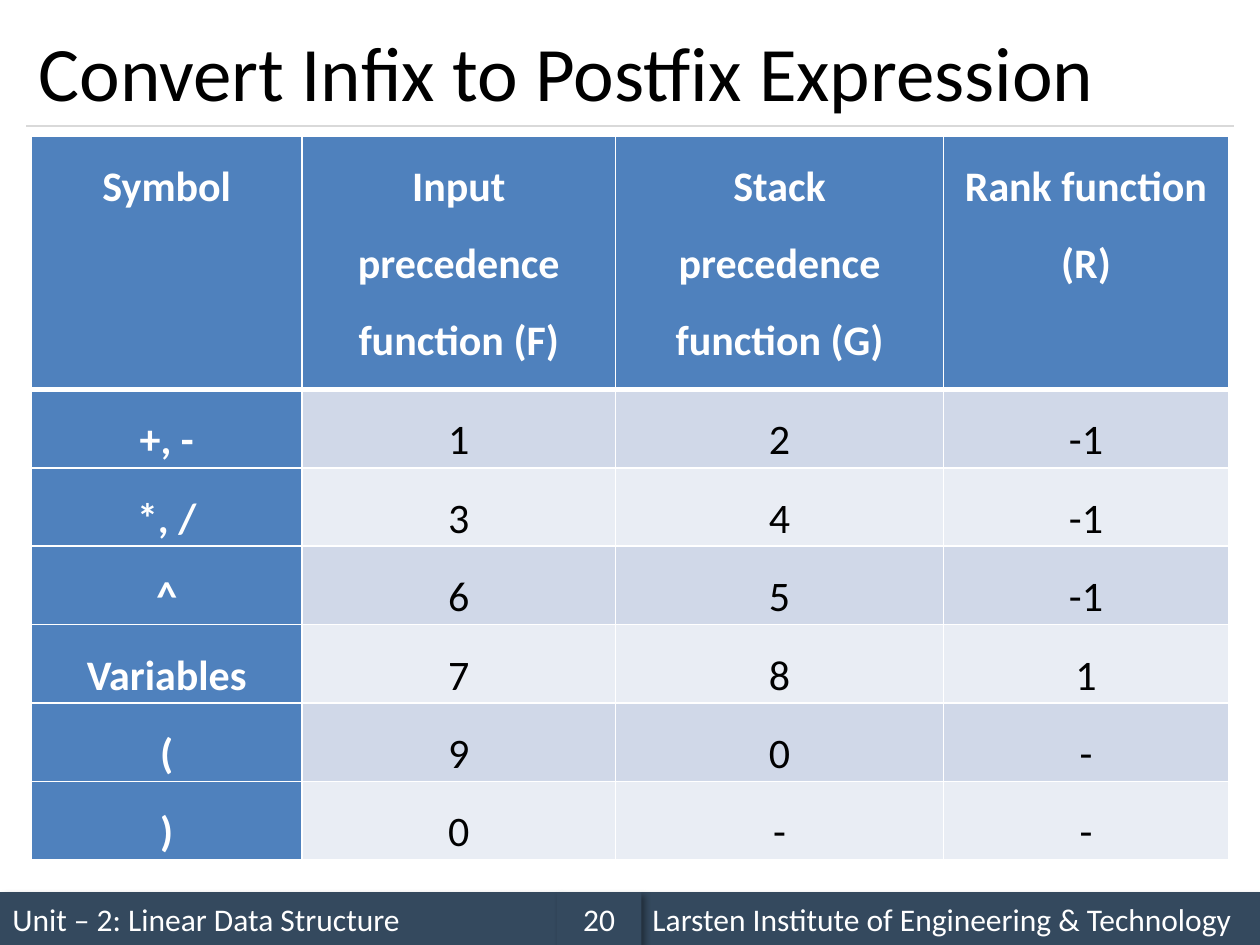
import pptx
import pptx.util
import pptx.dml.color
import pptx.enum.shapes
import pptx.enum.text
import pptx.oxml
import pptx.oxml.ns
import lxml.etree

WIDE, HIGH = 10, 7.5
FONT = "Calibri"
WHITE, BLACK, NAVY, BLUE, GRAY = "FFFFFF", "000000", "34495E", "4F81BD", "D9D9D9"
BANDS = "D0D8E8", "E9EDF4"
HEADS = ["Symbol", "Input precedence\nfunction (F)",
         "Stack precedence\nfunction (G)", "Rank function (R)"]
ROWS = [
    ["+, -", "1", "2", "-1"],
    ["*, /", "3", "4", "-1"],
    ["^", "6", "5", "-1"],
    ["Variables", "7", "8", "1"],
    ["(", "9", "0", "-"],
    [")", "0", "-", "-"],
]
LEFT = pptx.enum.text.PP_ALIGN.LEFT
MID = pptx.enum.text.PP_ALIGN.CENTER
INCH = pptx.util.Inches


def color(code):
    """Turn a hex string into a colour."""
    return pptx.dml.color.RGBColor.from_string(code)


def part(box, x, y, w, h):
    """Cut a box out of another by shares of its size."""
    left, top, wide, high = box
    return left + x * wide, top + y * high, w * wide, h * high


def place(box):
    """Turn a box in inches into lengths."""
    return [INCH(n) for n in box]


def write(frame, text, size, code, bold=False, align=LEFT, lead=None):
    """Write one paragraph run by run, with breaks between lines."""
    para = frame.paragraphs[0]
    para.alignment = align
    para.line_spacing = lead
    for i, line in enumerate(text.split("\n")):
        if i:
            para.add_line_break()
        run = para.add_run()
        run.text = line
        run.font.name, run.font.size = FONT, pptx.util.Pt(size)
        run.font.bold = bold
        run.font.color.rgb = color(code)


def shade(shape):
    """Give a shape a soft shadow to the lower right."""
    shape.shadow.inherit = False
    list_ = shape._element.spPr.find(pptx.oxml.ns.qn("a:effectLst"))
    list_.append(pptx.oxml.parse_xml(
        f'<a:outerShdw {pptx.oxml.ns.nsdecls("a")} blurRad="50800" dist="38100" '
        'dir="2700000" algn="tl" rotWithShape="0"><a:srgbClr val="000000">'
        '<a:alpha val="40000"/></a:srgbClr></a:outerShdw>'))


def head(slide, box, text):
    """Place the title and the rule at the foot of its box."""
    label = slide.shapes.add_textbox(*place(box))
    label.text_frame.word_wrap = True
    label.text_frame.vertical_anchor = pptx.enum.text.MSO_ANCHOR.MIDDLE
    write(label.text_frame, text, 44, BLACK)
    x, y, w, h = box
    rule = slide.shapes.add_connector(
        pptx.enum.shapes.MSO_CONNECTOR.STRAIGHT,
        *place((x, y + h, x + w, y + h)))
    rule.line.color.rgb = color(GRAY)
    rule.line.width = pptx.util.Pt(0.75)
    lxml.etree.SubElement(rule._element.spPr, pptx.oxml.ns.qn("a:effectLst"))


def edge(cell, side, width):
    """Draw a white border on one side of a cell."""
    cell._tc.get_or_add_tcPr().append(pptx.oxml.parse_xml(
        f'<a:ln{side} {pptx.oxml.ns.nsdecls("a")} w="{pptx.util.Pt(width)}">'
        f'<a:solidFill><a:srgbClr val="{WHITE}"/></a:solidFill></a:ln{side}>'))


def grid(slide, box, rows, cols, first):
    """Place the table, with column shares and the share of its first row."""
    frame = slide.shapes.add_table(len(rows), len(cols), *place(box))
    table = frame.table
    table.first_col = True
    for col, share in zip(table.columns, cols):
        col.width = INCH(box[2] * share)
    rest = (1 - first) / (len(rows) - 1)
    for r, texts in enumerate(rows):
        table.rows[r].height = INCH(box[3] * (rest if r else first))
        for c, text in enumerate(texts):
            cell = table.cell(r, c)
            key = r == 0 or c == 0
            cell.margin_left = cell.margin_right = INCH(0.14)
            cell.margin_top = cell.margin_bottom = 0
            for side in "LRTB":
                thick = (r, side) in ((0, "B"), (1, "T"))
                edge(cell, side, 3 if thick else 1)
            cell.fill.solid()
            cell.fill.fore_color.rgb = color(BLUE if key else BANDS[(r - 1) % 2])
            write(cell.text_frame, text, 24, WHITE if key else BLACK, key, MID, 1.5)


def foot(slide, box, unit, school, page):
    """Place the three bars of the footer."""
    bars = [(0, 0.442, unit, LEFT), (0.508, 0.492, school, LEFT),
            (0.442, 0.067, page, MID)]
    for x, w, text, align in bars:
        bar = slide.shapes.add_shape(pptx.enum.shapes.MSO_SHAPE.RECTANGLE,
                                     *place(part(box, x, 0, w, 1)))
        bar.fill.solid()
        bar.fill.fore_color.rgb = color(NAVY)
        bar.line.fill.background()
        shade(bar)
        bar.text_frame.word_wrap = True
        bar.text_frame.vertical_anchor = pptx.enum.text.MSO_ANCHOR.MIDDLE
        write(bar.text_frame, text, 18, WHITE, align=align)


def main():
    """Build the slide and save it."""
    deck = pptx.Presentation()
    deck.slide_width, deck.slide_height = INCH(WIDE), INCH(HIGH)
    slide = deck.slides.add_slide(deck.slide_layouts[6])
    page = 0, 0, WIDE, HIGH
    foot(slide, part(page, 0, 0.944, 1, 0.056), "Unit – 2: Linear Data Structure",
         "Larsten Institute of Engineering & Technology", "20")
    head(slide, part(page, 1 / 48, 1 / 60, 46 / 48, 7 / 60),
         "Convert Infix to Postfix Expression")
    grid(slide, part(page, 0.025, 0.144, 0.95, 0.766), [HEADS] + ROWS,
         [0.226, 0.262, 0.274, 0.238], 0.35)
    deck.save("out.pptx")


if __name__ == "__main__":
    main()
